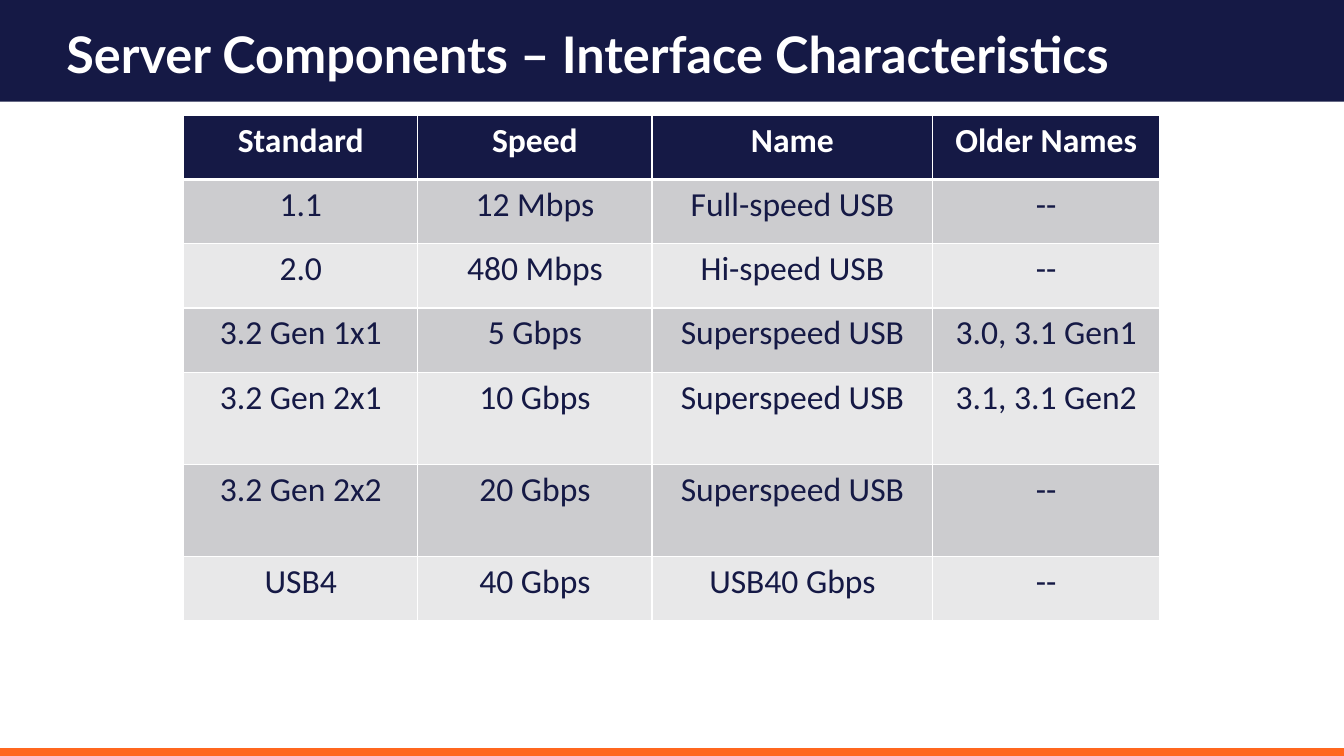
from lxml import etree
from pptx import Presentation
from pptx.dml.color import RGBColor
from pptx.enum import shapes, text
from pptx.oxml import ns
from pptx.util import Cm, Pt

TITLE = "Server Components – Interface Characteristics"
ROWS = [
    ("Standard", "Speed", "Name", "Older Names"),
    ("1.1", "12 Mbps", "Full-speed USB", "--"),
    ("2.0", "480 Mbps", "Hi-speed USB", "--"),
    ("3.2 Gen 1x1", "5 Gbps", "Superspeed USB", "3.0, 3.1 Gen1"),
    ("3.2 Gen 2x1", "10 Gbps", "Superspeed USB", "3.1, 3.1 Gen2"),
    ("3.2 Gen 2x2", "20 Gbps", "Superspeed USB", "--"),
    ("USB4", "40 Gbps", "USB40 Gbps", "--"),
]
COLORS = {"navy": "151945", "orange": "FF671F", "white": "FFFFFF",
          "dark band": "CCCCCF", "light band": "E8E8E9"}
WIDTH, HEIGHT = 33.87, 19.05
COL_WIDTHS = (5.9, 5.9, 7.08, 5.71)
ROW_HEIGHT, TALL_HEIGHT = 1.62, 2.32
TALL_ROWS = (4, 5)
# Top and height of each bar
BARS = [("navy", 0, 2.56), ("orange", 18.85, 0.2)]


def color(name):
    return RGBColor.from_string(COLORS[name])


def add_bar(slide, name, top, height):
    bar = slide.shapes.add_shape(shapes.MSO_SHAPE.RECTANGLE,
                                 0, Cm(top), Cm(WIDTH), Cm(height))
    bar.shadow.inherit = False
    bar.fill.solid()
    bar.fill.fore_color.rgb = color(name)
    bar.line.fill.background()
    slide.shapes.title._element.addprevious(bar._element)


def set_borders(cell, widths):
    """Draw white borders; widths maps a side (L, R, T, B) to points."""
    tc_pr = cell._tc.get_or_add_tcPr()
    for side, width in widths.items():
        ln = etree.SubElement(tc_pr, ns.qn(f"a:ln{side}"), w=str(Pt(width)))
        fill = etree.SubElement(ln, ns.qn("a:solidFill"))
        etree.SubElement(fill, ns.qn("a:srgbClr"), val=COLORS["white"])


def style_font(p, name, size, color_name, bold):
    p.font.name = name
    p.font.size = Pt(size)
    p.font.bold = bold
    p.font.color.rgb = color(color_name)


def add_title(slide):
    title = slide.shapes.title
    title.left, title.top = Cm(1.42), Cm(0)
    title.width, title.height = Cm(31.04), Cm(2.9)
    tf = title.text_frame
    tf.text = TITLE
    tf.word_wrap = True
    tf.auto_size = text.MSO_AUTO_SIZE.NONE
    tf.vertical_anchor = text.MSO_ANCHOR.MIDDLE
    p = tf.paragraphs[0]
    p.alignment = text.PP_ALIGN.LEFT
    p.line_spacing = 0.9
    style_font(p, "Lato", 36, "white", True)


def add_usb_table(slide):
    heights = [TALL_HEIGHT if i in TALL_ROWS else ROW_HEIGHT
               for i in range(len(ROWS))]
    table = slide.shapes.add_table(
        len(ROWS), len(COL_WIDTHS), Cm(4.63), Cm(2.9),
        Cm(sum(COL_WIDTHS)), Cm(sum(heights))).table
    for column, width in zip(table.columns, COL_WIDTHS):
        column.width = Cm(width)
    for i, (values, height) in enumerate(zip(ROWS, heights)):
        header = i == 0
        band = "navy" if header else "dark band" if i % 2 else "light band"
        table.rows[i].height = Cm(height)
        for j, value in enumerate(values):
            cell = table.cell(i, j)
            set_borders(cell, {"L": 1, "R": 1, "T": 3 if i == 1 else 1,
                               "B": 3 if header else 1})
            cell.fill.solid()
            cell.fill.fore_color.rgb = color(band)
            cell.text = value
            p = cell.text_frame.paragraphs[0]
            p.alignment = text.PP_ALIGN.CENTER
            style_font(p, "Calibri", 24, "white" if header else "navy", header)


def main():
    prs = Presentation()
    prs.slide_width, prs.slide_height = Cm(WIDTH), Cm(HEIGHT)
    slide = prs.slides.add_slide(prs.slide_layouts.get_by_name("Title Only"))
    for bar in BARS:
        add_bar(slide, *bar)
    add_title(slide)
    add_usb_table(slide)
    prs.save("out.pptx")


if __name__ == "__main__":
    main()
